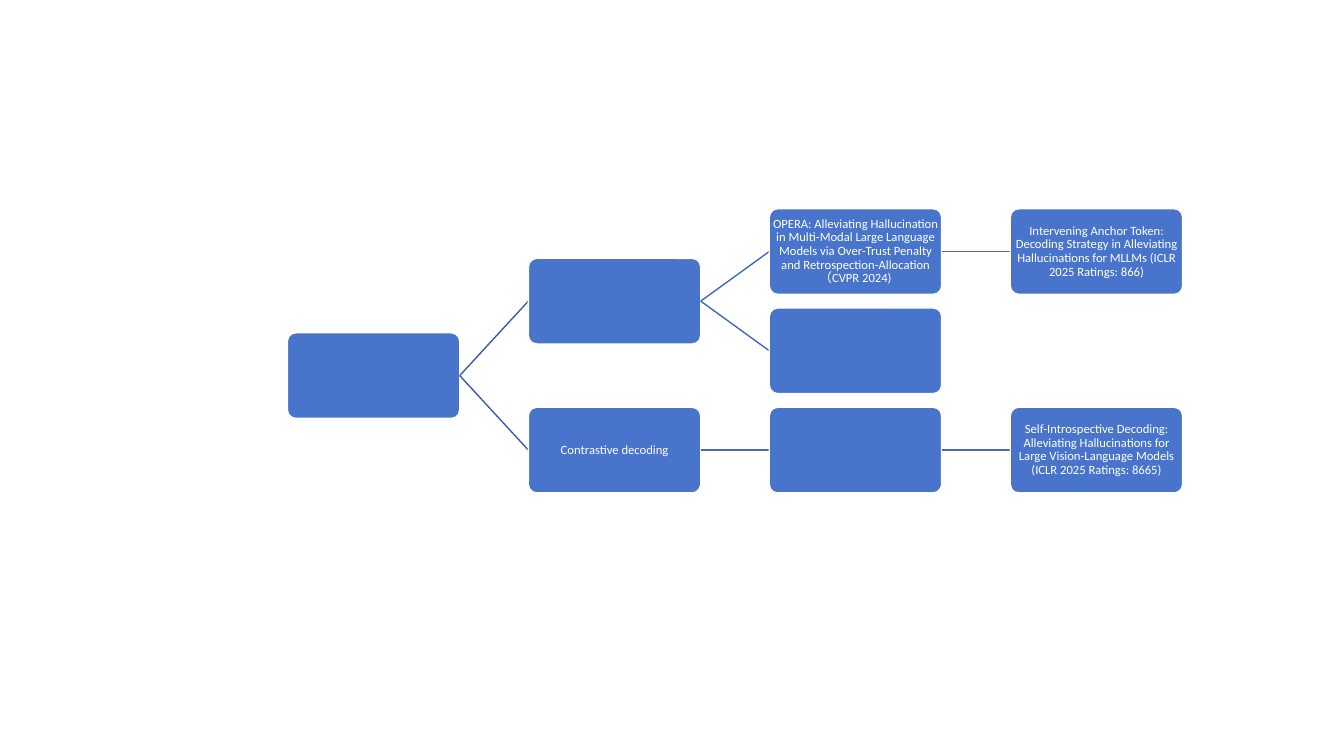
from dataclasses import dataclass, field
from itertools import count
from typing import Iterator

from lxml import etree
from pptx import Presentation
from pptx import util as u
from pptx.dml.color import RGBColor
from pptx.enum import shapes, text
from pptx.oxml.ns import qn

BOX_WIDTH, BOX_HEIGHT = 1.71, 0.85
LEFT, COLUMN_STEP = 2.85, 2.39
TOP, ROW_STEP = 2.07, 1.97 / 2
TEXT_MARGIN = 0.01
BOX_FILL, WHITE = "4874CB", "FFFFFF"
ROOT_BRANCH, LOWER_BRANCH = "3A5DA3", "4169B8"


@dataclass
class Method:
    label: str = ""
    children: list["Method"] = field(default_factory=list)
    column: int = 0
    row: float = 0

    @property
    def left(self) -> float:
        return LEFT + self.column * COLUMN_STEP

    @property
    def top(self) -> float:
        return TOP + self.row * ROW_STEP

    @property
    def middle(self) -> float:
        return self.top + BOX_HEIGHT / 2


TREE = Method(children=[
    Method(children=[
        Method(
            "OPERA: Alleviating Hallucination in Multi-Modal Large Language Models "
            "via Over-Trust Penalty and Retrospection-Allocation （CVPR 2024)",
            [Method("Intervening Anchor Token: Decoding Strategy in Alleviating "
                    "Hallucinations for MLLMs (ICLR 2025 Ratings: 866)")],
        ),
        Method(),
    ]),
    Method("Contrastive decoding", [
        Method(children=[
            Method("Self-Introspective Decoding: Alleviating Hallucinations for "
                   "Large Vision-Language Models (ICLR 2025 Ratings: 8665)"),
        ]),
    ]),
])


def color(value: str) -> RGBColor:
    return RGBColor.from_string(value)


def place(method: Method, leaf_rows: Iterator[int], column: int = 0) -> None:
    """Give each leaf the next row and centre each parent on its children."""
    method.column = column
    for child in method.children:
        place(child, leaf_rows, column + 1)
    if method.children:
        method.row = sum(child.row for child in method.children) / len(method.children)
    else:
        method.row = next(leaf_rows)


def draw_box(slide, method: Method) -> None:
    box = slide.shapes.add_shape(
        shapes.MSO_SHAPE.ROUNDED_RECTANGLE,
        u.Inches(method.left), u.Inches(method.top),
        u.Inches(BOX_WIDTH), u.Inches(BOX_HEIGHT))
    box.adjustments[0] = 0.1
    box.shadow.inherit = False
    box.fill.solid()
    box.fill.fore_color.rgb = color(BOX_FILL)
    box.line.color.rgb = color(WHITE)
    box.line.width = u.Pt(1)
    if not method.label:
        return

    frame = box.text_frame
    frame.word_wrap = True
    frame.vertical_anchor = text.MSO_ANCHOR.MIDDLE
    frame.margin_left = frame.margin_right = u.Inches(TEXT_MARGIN)
    frame.margin_top = frame.margin_bottom = u.Inches(TEXT_MARGIN)
    paragraph = frame.paragraphs[0]
    paragraph.alignment = text.PP_ALIGN.CENTER
    paragraph.line_spacing = 0.9
    run = paragraph.add_run()
    run.text = method.label
    run.font.name = "Calibri"
    run.font.size = u.Pt(9)
    run.font.color.rgb = color(WHITE)


def draw_branch(slide, parent: Method, child: Method) -> None:
    branch = slide.shapes.add_connector(
        shapes.MSO_CONNECTOR.STRAIGHT,
        u.Inches(parent.left + BOX_WIDTH), u.Inches(parent.middle),
        u.Inches(child.left), u.Inches(child.middle))
    branch.line.color.rgb = color(LOWER_BRANCH if parent.column else ROOT_BRANCH)
    branch.line.width = u.Pt(1)
    etree.SubElement(branch.element.spPr, qn("a:effectLst"))


def draw_tree(slide, method: Method) -> None:
    draw_box(slide, method)
    for child in method.children:
        draw_branch(slide, method, child)
        draw_tree(slide, child)


def main() -> None:
    deck = Presentation()
    deck.slide_width, deck.slide_height = u.Inches(13.33), u.Inches(7.5)
    slide = deck.slides.add_slide(deck.slide_layouts[6])
    place(TREE, count())
    draw_tree(slide, TREE)
    deck.save("out.pptx")


if __name__ == "__main__":
    main()
